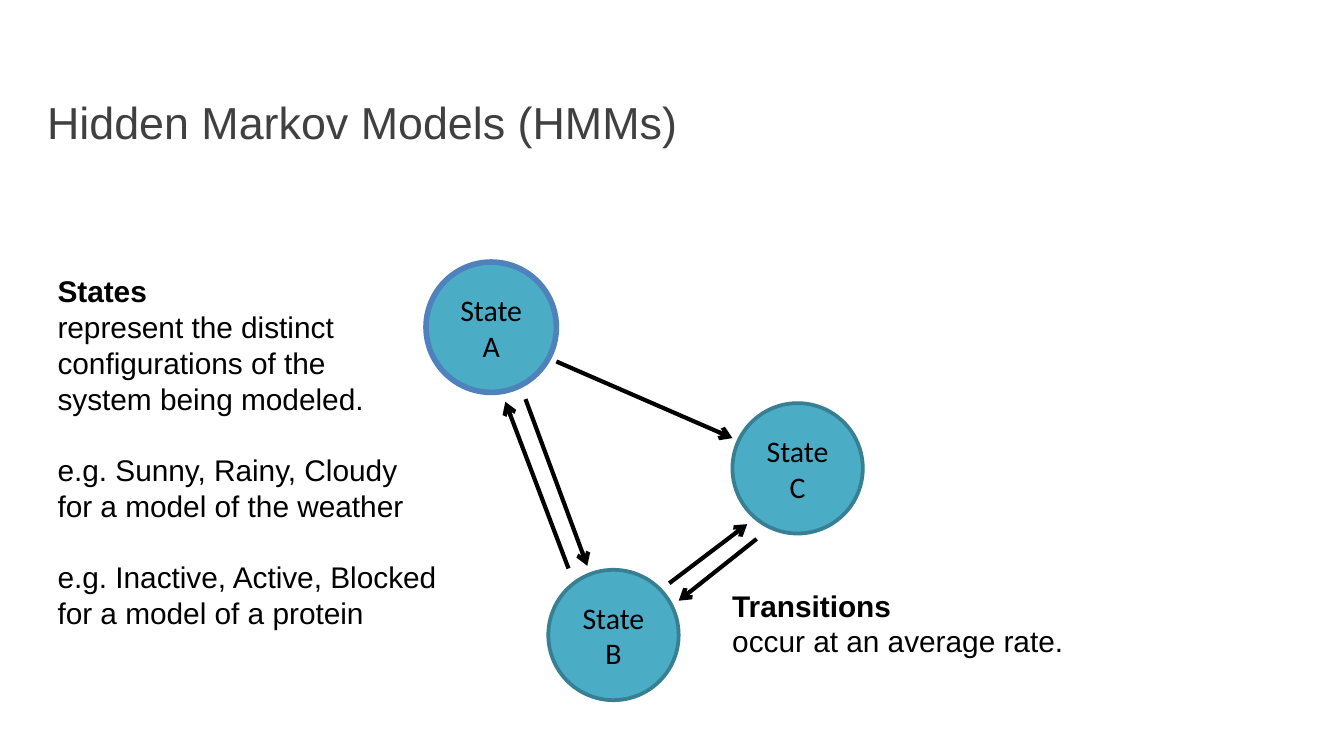
from typing import NamedTuple

from lxml.etree import SubElement
from pptx import Presentation
from pptx.dml.color import RGBColor
from pptx.enum.shapes import MSO_CONNECTOR, MSO_SHAPE
from pptx.enum.text import MSO_ANCHOR, MSO_AUTO_SIZE, PP_ALIGN
from pptx.oxml.ns import qn
from pptx.slide import Slide
from pptx.util import Inches, Pt

BLACK = RGBColor(0x00, 0x00, 0x00)
TITLE_GRAY = RGBColor(0x40, 0x40, 0x40)
STATE_FILL = RGBColor(0x4B, 0xAC, 0xC6)
STATE_EDGE = RGBColor(0x37, 0x7F, 0x92)
START_EDGE = RGBColor(0x4F, 0x81, 0xBD)
STATE_SIZE = 0.97
TEXT_SIZE = Pt(16)
BLOCK_GAP = Pt(19)


class State(NamedTuple):
    name: str
    left: float
    top: float
    edge: RGBColor = STATE_EDGE
    edge_width: float = 2


class Transition(NamedTuple):
    start: tuple[float, float]
    end: tuple[float, float]


class Note(NamedTuple):
    heading: str
    blocks: list[list[str]]
    left: float
    top: float
    width: float
    height: float


STATES = [
    State("State A", 3.17, 1.95, START_EDGE, 3),
    State("State B", 4.08, 4.24),
    State("State C", 5.45, 3),
]
TRANSITIONS = [
    Transition((3.91, 2.97), (4.37, 4.21)),  # A to B
    Transition((4.14, 2.69), (5.45, 3.26)),  # A to C
    Transition((4.98, 4.34), (5.56, 3.9)),  # B to C
    Transition((5.63, 4.01), (5.05, 4.47)),  # C to B
    Transition((4.23, 4.23), (3.76, 2.99)),  # B to A
]
NOTES = [
    Note("Transitions", [["occur at an average rate."]], 5.35, 4.32, 2.7, 0.64),
    Note(
        "States",
        [
            ["represent the distinct", "configurations of the", "system being modeled."],
            ["e.g. Sunny, Rainy, Cloudy", "for a model of the weather"],
            ["e.g. Inactive, Active, Blocked", "for a model of a protein"],
        ],
        0.33, 1.98, 3.06, 2.79,
    ),
]


def set_title(page: Slide, text: str) -> None:
    title = page.shapes.title
    title.left, title.top = Inches(0.25), Inches(0.65)
    title.width, title.height = Inches(9.5), Inches(0.31)
    frame = title.text_frame
    frame.text = text
    frame.auto_size = MSO_AUTO_SIZE.NONE
    frame.vertical_anchor = MSO_ANCHOR.MIDDLE
    para = frame.paragraphs[0]
    para.alignment = PP_ALIGN.LEFT
    para.line_spacing = 1.5
    para.font.name = "Arial"
    para.font.size = Pt(24)
    para.font.color.rgb = TITLE_GRAY


def draw_state(page: Slide, state: State) -> None:
    circle = page.shapes.add_shape(
        MSO_SHAPE.OVAL, Inches(state.left), Inches(state.top),
        Inches(STATE_SIZE), Inches(STATE_SIZE))
    circle.shadow.inherit = False
    circle.fill.solid()
    circle.fill.fore_color.rgb = STATE_FILL
    circle.line.color.rgb = state.edge
    circle.line.width = Pt(state.edge_width)
    frame = circle.text_frame
    frame.text = state.name
    frame.word_wrap = True
    frame.vertical_anchor = MSO_ANCHOR.MIDDLE
    para = frame.paragraphs[0]
    para.alignment = PP_ALIGN.CENTER
    para.font.name = "Calibri"
    para.font.size = TEXT_SIZE
    para.font.color.rgb = BLACK


def draw_transition(page: Slide, transition: Transition) -> None:
    ends = [Inches(value) for value in transition.start + transition.end]
    arrow = page.shapes.add_connector(MSO_CONNECTOR.STRAIGHT, *ends)
    arrow.line.color.rgb = BLACK
    arrow.line.width = Pt(2.25)
    SubElement(arrow.line._get_or_add_ln(), qn("a:tailEnd"), type="arrow")
    SubElement(arrow._element.spPr, qn("a:effectLst"))


def draw_note(page: Slide, note: Note) -> None:
    box = page.shapes.add_textbox(
        Inches(note.left), Inches(note.top), Inches(note.width), Inches(note.height))
    frame = box.text_frame
    frame.word_wrap = True
    frame.text = "\n".join([note.heading, *(line for block in note.blocks for line in block)])
    for para in frame.paragraphs:
        para.font.name = "Arial"
        para.font.size = TEXT_SIZE
        para.font.color.rgb = BLACK
    frame.paragraphs[0].font.bold = True
    # Each block after the first is set off by one line
    first = 1
    for block in note.blocks[:-1]:
        first += len(block)
        frame.paragraphs[first].space_before = BLOCK_GAP


def main() -> None:
    deck = Presentation()
    # Widescreen page, 16:9
    deck.slide_width = Inches(10)
    deck.slide_height = deck.slide_width * 9 // 16
    page = deck.slides.add_slide(deck.slide_layouts[5])
    set_title(page, "Hidden Markov Models (HMMs)")

    # State diagram
    for state in STATES:
        draw_state(page, state)
    for transition in TRANSITIONS:
        draw_transition(page, transition)

    # Explanations
    for note in NOTES:
        draw_note(page, note)

    deck.save("out.pptx")


if __name__ == "__main__":
    main()
